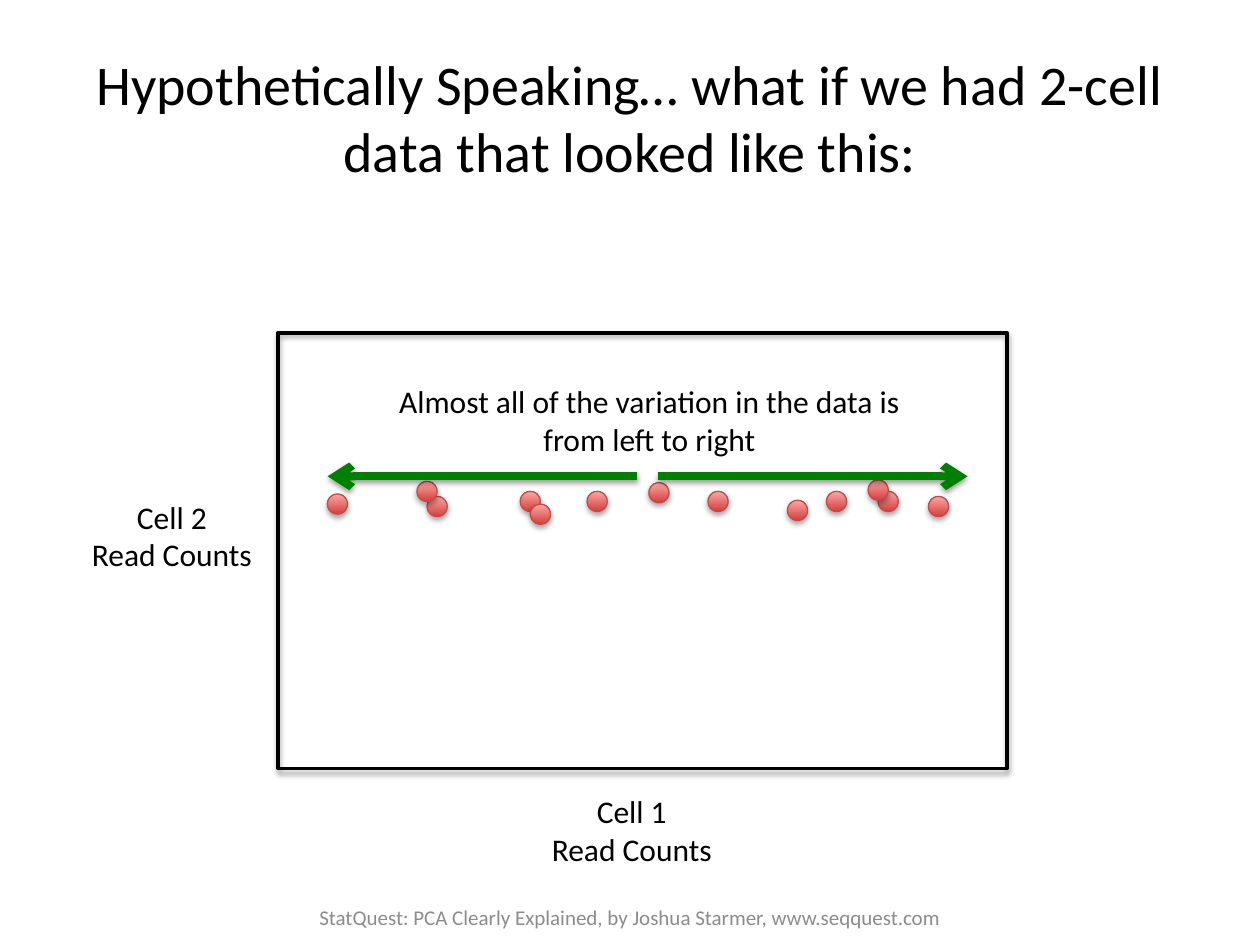
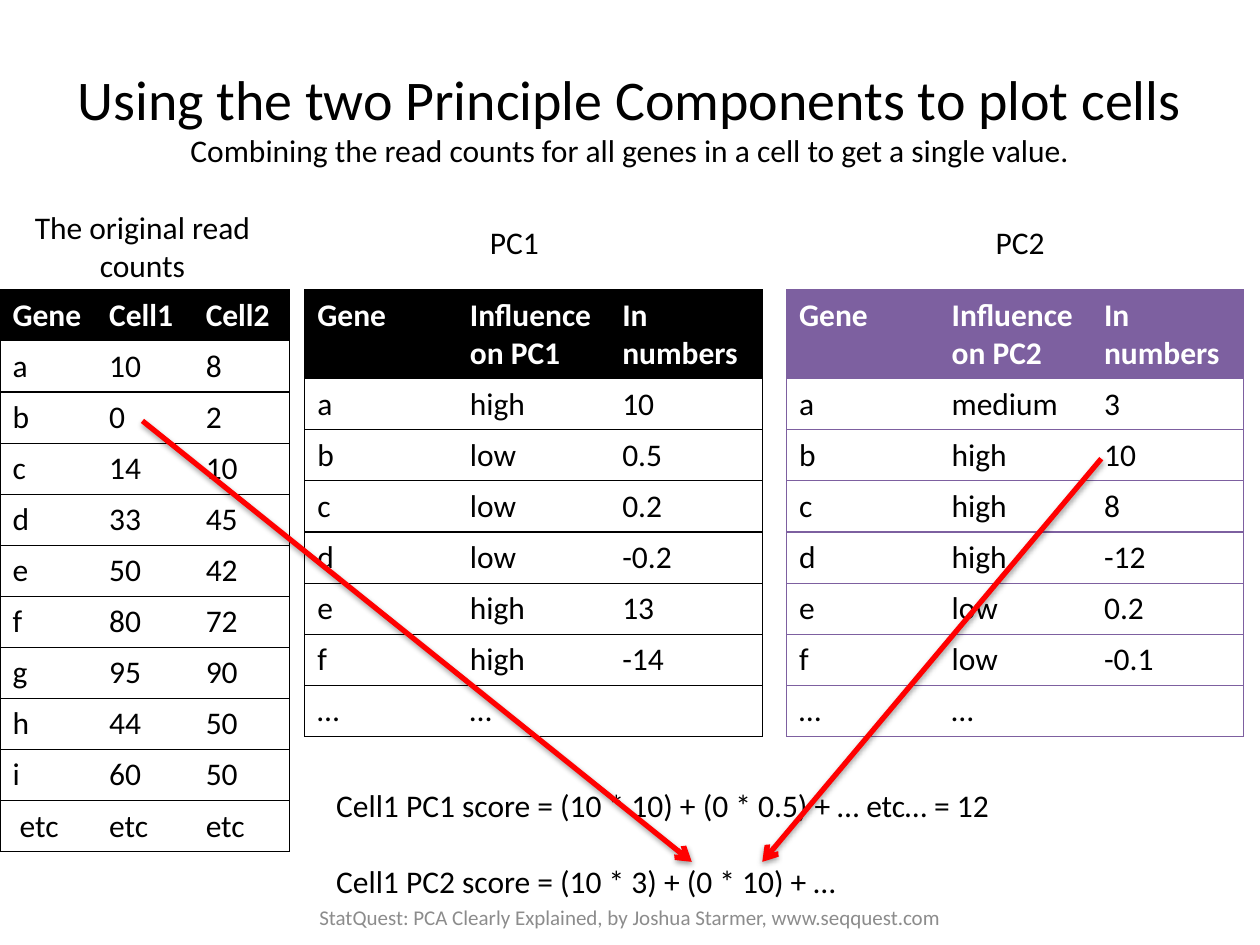
from collections import namedtuple
from dataclasses import dataclass

from lxml import etree
from pptx import Presentation
from pptx.dml.color import RGBColor
from pptx.enum import shapes, text
from pptx.oxml import parse_xml
from pptx.oxml.ns import nsdecls, qn
from pptx.util import Pt

Box = namedtuple("Box", "left top width height")


@dataclass(frozen=True)
class Theme:
    font: str = "Calibri"
    black: str = "000000"
    white: str = "FFFFFF"
    footer: str = "8C8C8C"
    purple: str = "7D60A0"
    green: str = "008000"
    red: str = "FF0000"
    dot_dark: str = "D1403C"
    dot_light: str = "FFA6A5"
    dot_edge: str = "BF4C48"
    title_size: int = 32
    body_size: int = 18
    footer_size: int = 12


THEME = Theme()
CENTER = text.PP_ALIGN.CENTER
LEFT = text.PP_ALIGN.LEFT
TITLE_BOX = Box(36, 21.6, 648, 90)
FOOTER_BOX = Box(135.4, 509.8, 449.3, 28.8)
FOOTER = "StatQuest: PCA Clearly Explained, by Joshua Starmer, www.seqquest.com"
ROW_HEIGHT = 29.2
TALL_HEADER = 50.8

# Left and top of each dot, measured from the corner of the plot frame.
DOTS = [(28, 92.2), (85, 93.6), (79.2, 85), (138.2, 90.7), (371.5, 93.6),
        (342.7, 90.7), (211.7, 85.7), (176.4, 90.7), (144, 98), (313.2, 90.7),
        (337, 84.2), (290.9, 95.8), (245.5, 90.7)]

READ_COUNTS = [
    ("Gene", "Cell1", "Cell2"), ("a", "10", "8"), ("b", "0", "2"),
    ("c", "14", "10"), ("d", "33", "45"), ("e", "50", "42"), ("f", "80", "72"),
    ("g", "95", "90"), ("h", "44", "50"), ("i", "60", "50"),
    (" etc", "etc", "etc")]
PC1 = [
    ("Gene", "Influence on PC1", "In numbers"), ("a", "high", "10"),
    ("b", "low", "0.5"), ("c", "low", "0.2"), ("d", "low", "-0.2"),
    ("e", "high", "13"), ("f", "high", "-14"), ("…", "…", "")]
PC2 = [
    ("Gene", "Influence on PC2", "In numbers"), ("a", "medium", "3"),
    ("b", "high", "10"), ("c", "high", "8"), ("d", "high", "-12"),
    ("e", "low", "0.2"), ("f", "low", "-0.1"), ("…", "…", "")]


def rgb(value):
    return RGBColor.from_string(value)


def place(box):
    return [Pt(v) for v in box]


def format_run(r, size, color, bold=False):
    r.font.name = THEME.font
    r.font.size = Pt(size)
    r.font.bold = bold
    r.font.color.rgb = rgb(color)


def add_text(slide, box, content, size=THEME.body_size, color=THEME.black,
             align=CENTER, wrap=True, anchor=text.MSO_ANCHOR.TOP, gap=0):
    """Add a text box; gap is the space between its paragraphs."""
    tf = slide.shapes.add_textbox(*place(box)).text_frame
    tf.text = content
    tf.word_wrap = wrap
    tf.vertical_anchor = anchor
    for i, p in enumerate(tf.paragraphs):
        p.alignment = align
        if i and gap:
            p.space_before = Pt(gap)
        for r in p.runs:
            format_run(r, size, color)


def add_shadow(sp, alpha, distance):
    """Give a shape or connector a soft shadow straight below it."""
    pr = sp._element.spPr
    for old in pr.findall(qn("a:effectLst")):
        pr.remove(old)
    pr.append(parse_xml(
        f'<a:effectLst {nsdecls("a")}><a:outerShdw blurRad="{Pt(3.1)}" '
        f'dist="{Pt(distance)}" dir="5400000" rotWithShape="0">'
        f'<a:srgbClr val="{THEME.black}"><a:alpha val="{alpha * 1000}"/>'
        '</a:srgbClr></a:outerShdw></a:effectLst>'))


def add_arrow(slide, start, end, color, width):
    line = slide.shapes.add_connector(
        shapes.MSO_CONNECTOR.STRAIGHT, *place(start + end))
    line.line.color.rgb = rgb(color)
    line.line.width = Pt(width)
    etree.SubElement(line.line._get_or_add_ln(), qn("a:tailEnd"), type="arrow")
    add_shadow(line, 38, 1.6)


def add_outlined(parent, kind, box, color, width):
    sp = parent.shapes.add_shape(kind, *place(box))
    sp.line.color.rgb = rgb(color)
    sp.line.width = Pt(width)
    sp.fill.background()
    add_shadow(sp, 35, 1.8)
    return sp


def add_base_slide(prs, title, subtitle=None):
    """Add a slide with the shared title style and footer."""
    slide = prs.slides.add_slide(prs.slide_layouts[5])
    sp = slide.shapes.title
    sp.left, sp.top, sp.width, sp.height = place(TITLE_BOX)
    tf = sp.text_frame
    tf.text = f"{title}\v{subtitle}" if subtitle else title
    tf.word_wrap = True
    tf.auto_size = text.MSO_AUTO_SIZE.NONE
    tf.vertical_anchor = text.MSO_ANCHOR.MIDDLE
    p = tf.paragraphs[0]
    p.alignment = CENTER
    for r, size in zip(p.runs, (THEME.title_size, THEME.body_size)):
        format_run(r, size, THEME.black)
    add_text(slide, FOOTER_BOX, FOOTER, THEME.footer_size, THEME.footer,
             anchor=text.MSO_ANCHOR.MIDDLE)
    return slide


def add_dots(slide, box):
    group = slide.shapes.add_group_shape()
    for x, y in DOTS:
        dot = add_outlined(group, shapes.MSO_SHAPE.OVAL,
                           Box(box.left + x, box.top + y, 11.5, 11.5),
                           THEME.dot_edge, 0.75)
        dot.fill.gradient()
        dot.fill.gradient_angle = 90
        stops = zip(dot.fill.gradient_stops, (THEME.dot_dark, THEME.dot_light))
        for i, (stop, color) in enumerate(stops):
            stop.color.rgb = rgb(color)
            stop.position = i


def add_scatter(slide, box):
    """Draw the framed dots with axis labels and the spread arrows."""
    left, top, width, height = box
    add_text(slide, Box(left - 114.5, top + 90.7, 107.3, 51.1),
             "Cell 2\nRead Counts", wrap=False)
    add_text(slide, Box(left + 148.3, top + height + 10.1, 107.3, 51.1),
             "Cell 1\nRead Counts", wrap=False)
    add_outlined(slide, shapes.MSO_SHAPE.RECTANGLE, box, THEME.black, 2.25)
    add_dots(slide, box)
    arrow_y = top + 82.1
    for start, end in ((216.7, 393.8), (205.2, 28.1)):
        add_arrow(slide, (left + start, arrow_y), (left + end, arrow_y),
                  THEME.green, 4.5)
    add_text(slide, Box(left + 59, top + 24.5, 306, 51.1),
             "Almost all of the variation in the data is from left to right")


def set_border(cell, side, color):
    ln = etree.SubElement(cell._tc.get_or_add_tcPr(), qn(f"a:ln{side}"),
                          w=str(Pt(0.75)))
    if color:
        fill = etree.SubElement(ln, qn("a:solidFill"))
        etree.SubElement(fill, qn("a:srgbClr"), val=color)
    else:
        etree.SubElement(ln, qn("a:noFill"))


def add_gene_table(slide, box, rows, color, header_height):
    """Add a table with a filled header, row rules and an outer frame."""
    count = len(rows[0])
    table = slide.shapes.add_table(len(rows), count, *place(box)).table
    table.horz_banding = False
    for column in table.columns:
        column.width = Pt(box.width / count)
    for i, values in enumerate(rows):
        table.rows[i].height = Pt(ROW_HEIGHT if i else header_height)
        for j, value in enumerate(values):
            cell = table.cell(i, j)
            edges = {"L": j == 0, "R": j == count - 1, "T": True, "B": True}
            for side, shown in edges.items():
                set_border(cell, side, color if shown else None)
            if i:
                cell.fill.background()
            else:
                cell.fill.solid()
                cell.fill.fore_color.rgb = rgb(color)
            cell.text = value
            for r in cell.text_frame.paragraphs[0].runs:
                format_run(r, THEME.body_size,
                           THEME.black if i else THEME.white, bold=i == 0)


def add_component(slide, box, name, rows, color):
    """Add a component's table with its name above."""
    add_gene_table(slide, box, rows, color, TALL_HEADER)
    add_text(slide, Box(box.left + 98.6 + (box.left > 360) * 13.7,
                        box.top - 41.8, 42.5, 28.8),
             name, align=LEFT, wrap=False)


def add_read_counts(slide, box):
    add_gene_table(slide, box, READ_COUNTS, THEME.black, ROW_HEIGHT)
    add_text(slide, Box(box.left + 6.5, box.top - 50.4, 149.8, 51.1),
             "The original read counts")


def add_scores(slide, box):
    """Write the score formulas and point at the second term of PC2."""
    add_text(slide, box,
             "Cell1 PC1 score = (10 * 10) + (0 * 0.5) + … etc… = 12\n"
             "Cell1 PC2 score = (10 * 3) + (0 * 10) + …",
             align=LEFT, wrap=False, gap=22)
    target_y = box.top + 46.8
    for start, target_x in (((81.4, 240.5), 210.3), ((629.3, 262.1), 250.6)):
        add_arrow(slide, start, (box.left + target_x, target_y), THEME.red, 3)


def main():
    prs = Presentation()
    prs.slide_width, prs.slide_height = Pt(720), Pt(540)

    slide = add_base_slide(
        prs, "Hypothetically Speaking… what if we had 2-cell data that "
             "looked like this:")
    add_scatter(slide, Box(159.1, 190.1, 416.2, 249.1))

    slide = add_base_slide(
        prs, "Using the two Principle Components to plot cells",
        "Combining the read counts for all genes in a cell to get a single "
        "value.")
    tables_top = 165.6
    add_component(slide, Box(174.2, tables_top, 261.4, 255.2), "PC1", PC1,
                  THEME.black)
    add_component(slide, Box(449.5, tables_top, 261.4, 255.2), "PC2", PC2,
                  THEME.purple)
    add_read_counts(slide, Box(0, tables_top, 165.6, 321.2))
    add_scores(slide, Box(185, 445.7, 392.4, 72.7))
    prs.save("out.pptx")


if __name__ == "__main__":
    main()
